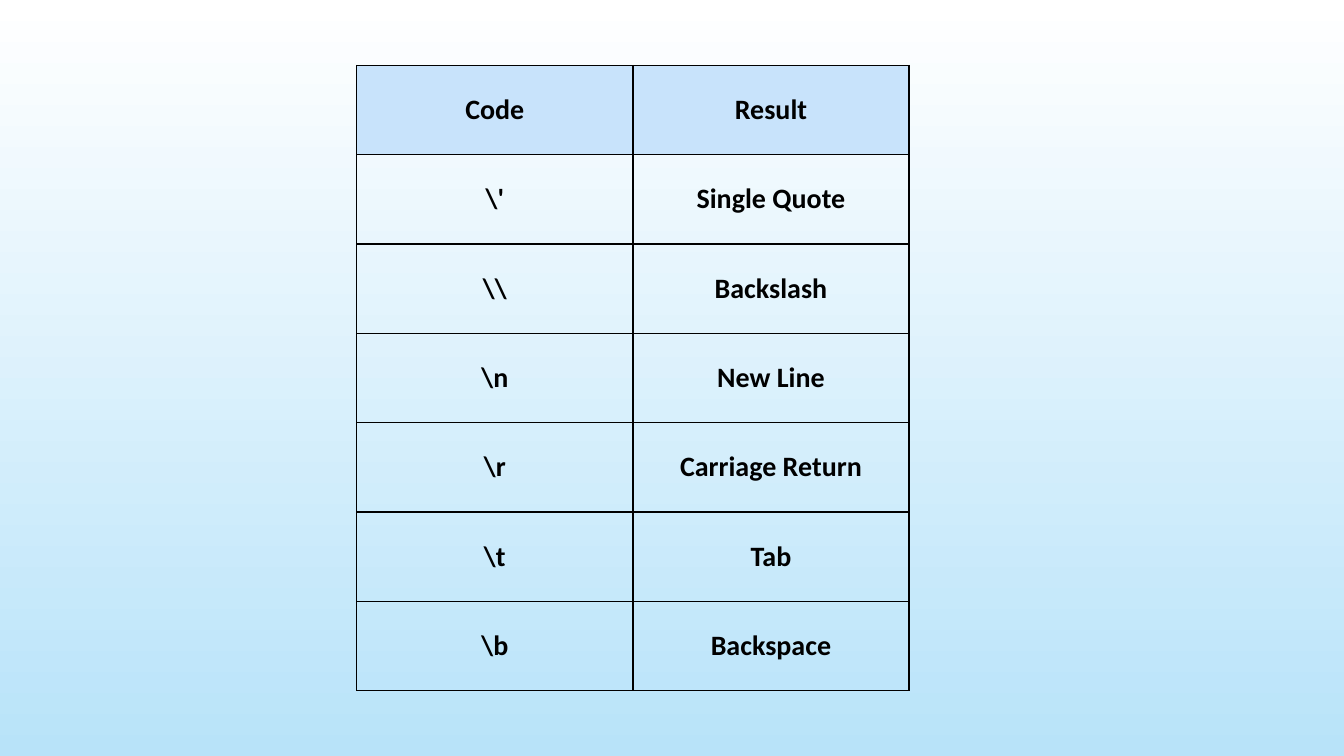
from lxml import etree
from pptx import Presentation
from pptx.dml.color import RGBColor
from pptx.enum.text import MSO_ANCHOR, PP_ALIGN
from pptx.oxml.ns import qn
from pptx.util import Cm, Pt

MIDDLE = MSO_ANCHOR.MIDDLE
CENTER = PP_ALIGN.CENTER

CODES = [
    ("Code", "Result"),
    (r"\'", "Single Quote"),
    (r"\\", "Backslash"),
    (r"\n", "New Line"),
    (r"\r", "Carriage Return"),
    (r"\t", "Tab"),
    (r"\b", "Backspace"),
]


def color(hexa):
    return RGBColor.from_string(hexa)


class Deck:
    font = "Calibri"
    size = Pt(20)
    ink = "000000"
    head = "C8E3FB"
    rule = Pt(1)

    def __init__(self, slide):
        self.slide = slide

    def backdrop(self, top, bottom):
        fill = self.slide.background.fill
        fill.gradient()
        fill.gradient_angle = 270
        for stop, hexa in zip(fill.gradient_stops, (top, bottom)):
            stop.color.rgb = color(hexa)

    def border(self, cell):
        props = cell._tc.get_or_add_tcPr()
        for side in ("lnL", "lnR", "lnT", "lnB"):
            line = etree.SubElement(props, qn(f"a:{side}"), w=str(self.rule))
            fill = etree.SubElement(line, qn("a:solidFill"))
            etree.SubElement(fill, qn("a:srgbClr"), val=self.ink)

    def label(self, cell, text):
        cell.vertical_anchor = MIDDLE
        para = cell.text_frame.paragraphs[0]
        para.alignment = CENTER
        run = para.add_run()
        run.text = text
        run.font.name = self.font
        run.font.size = self.size
        run.font.bold = True
        run.font.color.rgb = color(self.ink)

    def table(self, rows, left, top, wide, high):
        count = len(rows[0])
        frame = self.slide.shapes.add_table(
            len(rows), count, Cm(left), Cm(top),
            Cm(wide * count), Cm(high * len(rows)))
        table = frame.table
        table.horz_banding = False
        for col in table.columns:
            col.width = Cm(wide)
        for r, texts in enumerate(rows):
            table.rows[r].height = Cm(high)
            for c, text in enumerate(texts):
                cell = table.cell(r, c)
                self.label(cell, text)
                self.border(cell)
                if r == 0:
                    cell.fill.solid()
                    cell.fill.fore_color.rgb = color(self.head)
                else:
                    cell.fill.background()


def main():
    prs = Presentation()
    prs.slide_width = Cm(33.87)
    prs.slide_height = Cm(19.05)
    deck = Deck(prs.slides.add_slide(prs.slide_layouts[6]))
    deck.backdrop("FFFFFF", "B8E3F9")
    deck.table(CODES, left=8.99, top=1.65, wide=6.96, high=2.25)
    prs.save("out.pptx")


if __name__ == "__main__":
    main()
